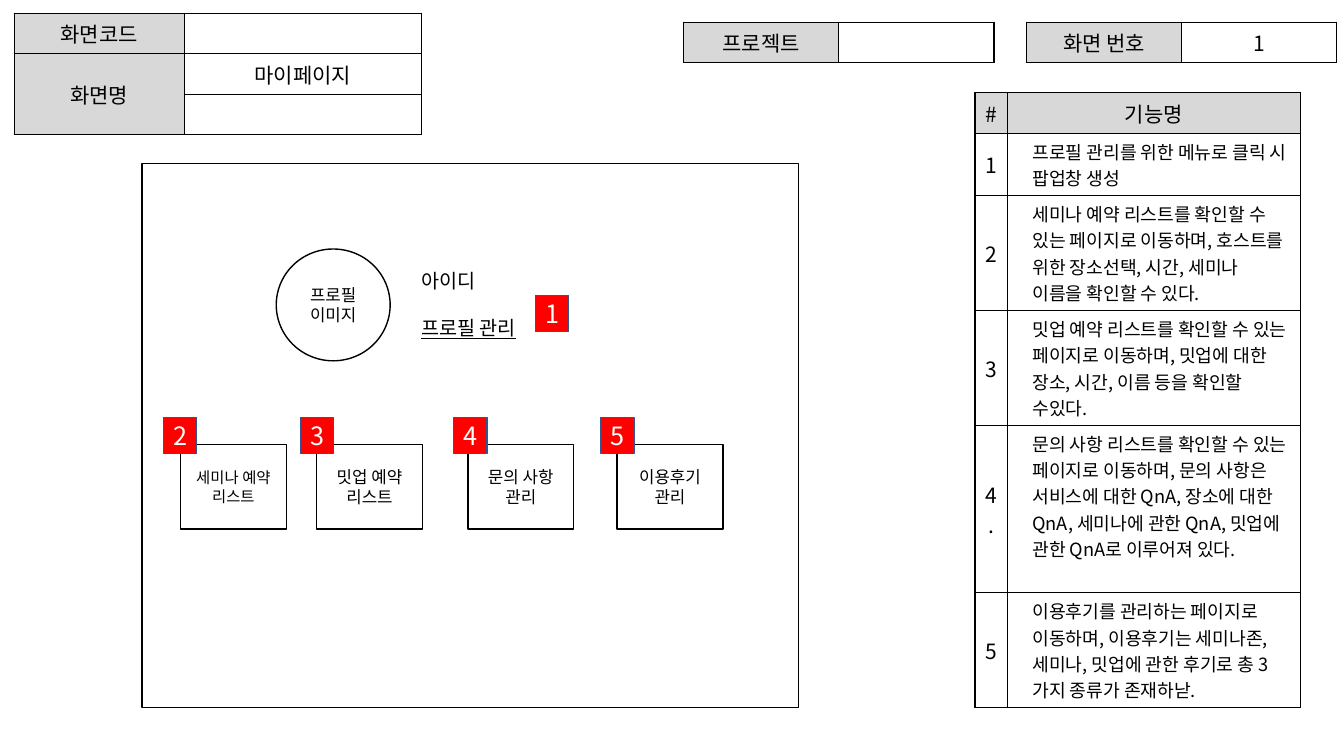
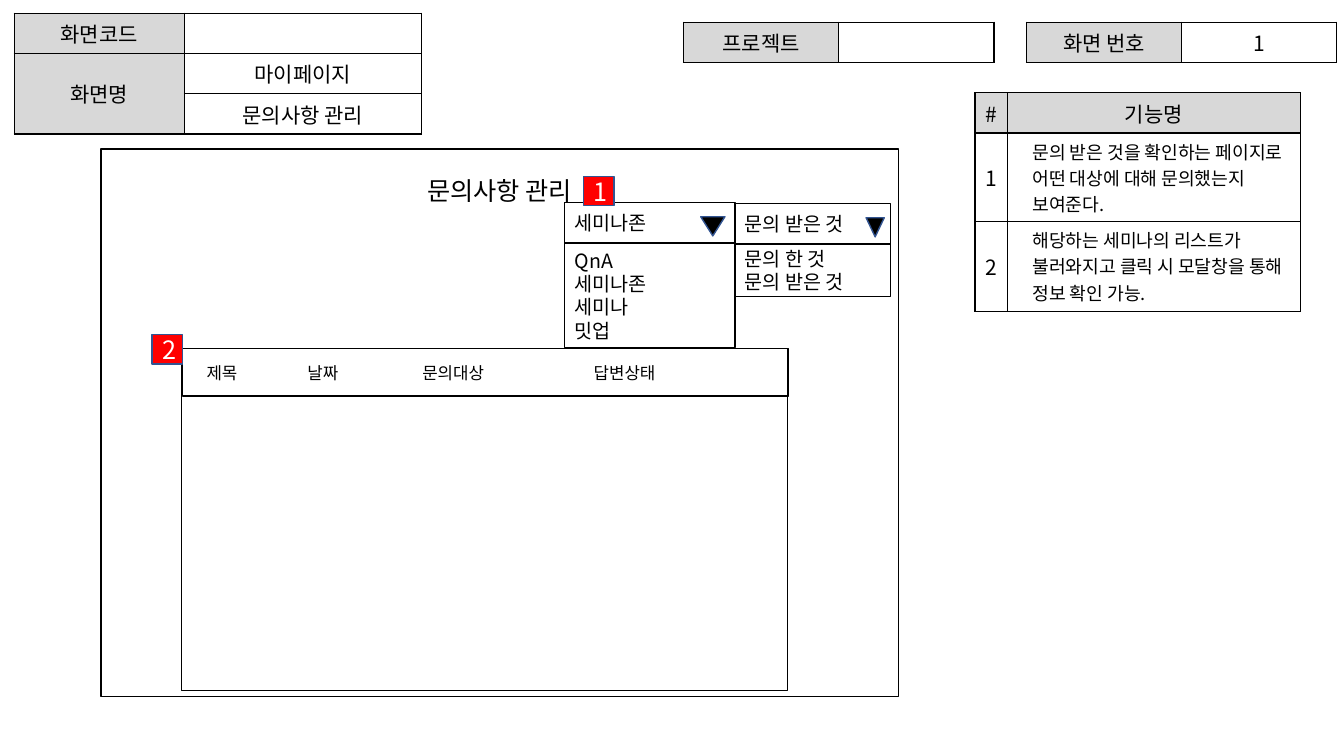
import dataclasses
import typing

import lxml.etree
import pptx
import pptx.dml.color
import pptx.enum.shapes
import pptx.enum.text
import pptx.oxml.ns
import pptx.util

Inches = pptx.util.Inches
Pt = pptx.util.Pt
Shape = pptx.enum.shapes.MSO_SHAPE
Align = pptx.enum.text.PP_ALIGN
Anchor = pptx.enum.text.MSO_ANCHOR
qn = pptx.oxml.ns.qn

FONT = "Noto Sans CJK KR"
HEX = {"ink": "000000", "paper": "FFFFFF", "head": "D8D8D8", "badge": "FF0000", "edge": "325491"}
ROW = 0.4


@dataclasses.dataclass
class Box:
    x: float
    y: float
    w: float
    h: float
    text: str = ""
    size: float = 12
    align: typing.Any = Align.CENTER
    kind: typing.Any = Shape.RECTANGLE


@dataclasses.dataclass
class Note:
    mark: str
    text: str
    high: float


def color(name: str) -> pptx.dml.color.RGBColor:
    return pptx.dml.color.RGBColor.from_string(HEX[name])


# Text
def put(frame, text: str, *, size: float = 15, ink: str = "ink", align=Align.CENTER,
        pitch: float = 0, gap: float = 0, under: int = -1, tabs: typing.Sequence[float] = ()) -> None:
    """Write one paragraph per line; pitch is line height in ems, under the underlined line."""
    frame.word_wrap = True
    for num, line in enumerate(text.split("\n")):
        para = frame.add_paragraph() if num else frame.paragraphs[0]
        if tabs:
            stops = lxml.etree.SubElement(para._p.get_or_add_pPr(), qn("a:tabLst"))
            for stop in tabs:
                lxml.etree.SubElement(stops, qn("a:tab"), pos=str(Inches(stop)), algn="l")
        para.alignment = align
        if pitch:
            para.line_spacing = Pt(size * pitch)
        if num and gap:
            para.space_before = Pt(gap)
        if not line:
            lxml.etree.SubElement(para._p, qn("a:endParaRPr"), sz=str(int(size * 100)))
            continue
        run = para.add_run()
        run.text = line
        font = run.font
        font.size, font.name = Pt(size), FONT
        font.color.rgb = color(ink)
        if num == under:
            font.underline = True
        lxml.etree.SubElement(run._r.get_or_add_rPr(), qn("a:ea"), typeface=FONT)


# Shapes
def draw(slide, box: Box, *, fill: str = "", line: str = "ink", ink: str = "ink",
         tabs: typing.Sequence[float] = ()):
    shape = slide.shapes.add_shape(box.kind, *map(Inches, (box.x, box.y, box.w, box.h)))
    shape.shadow.inherit = False
    if fill:
        shape.fill.solid()
        shape.fill.fore_color.rgb = color(fill)
    else:
        shape.fill.background()
    shape.line.color.rgb = color(line)
    shape.line.width = Pt(1)
    if box.text:
        shape.text_frame.vertical_anchor = Anchor.MIDDLE
        put(shape.text_frame, box.text, size=box.size, ink=ink, align=box.align, pitch=1.19, tabs=tabs)
    return shape


def badge(slide, x: float, y: float, text: str, wide: float = 0.33, high: float = 0.36) -> None:
    draw(slide, Box(x, y, wide, high, text, 18), fill="badge", line="edge", ink="paper")


def label(slide, box: Box, *, gap: float = 0, under: int = -1) -> None:
    shape = slide.shapes.add_textbox(*map(Inches, (box.x, box.y, box.w, box.h)))
    put(shape.text_frame, box.text, size=box.size, align=box.align, pitch=1.19, gap=gap, under=under)


def picker(slide, x: float, y: float, wide: float, text: str, items: str, high: float,
           arrow: tuple[float, float]) -> None:
    """Draw a drop-down: closed field, arrow and open list."""
    left, size = arrow
    draw(slide, Box(x, y, wide, 0.4, text, 14, Align.LEFT))
    mark = Box(left, y + 0.14, size, 0.19, kind=Shape.FLOWCHART_MERGE)
    draw(slide, mark, fill="ink", line="edge")
    draw(slide, Box(x, y + 0.4, wide, high, items, 14, Align.LEFT))


# Tables
def paint(cell, fill: str) -> None:
    cell.fill.solid()
    cell.fill.fore_color.rgb = color(fill)
    props = cell._tc.get_or_add_tcPr()
    for num, side in enumerate(("lnL", "lnR", "lnT", "lnB")):
        edge = lxml.etree.Element(qn(f"a:{side}"), w=str(Pt(1)))
        solid = lxml.etree.SubElement(edge, qn("a:solidFill"))
        lxml.etree.SubElement(solid, qn("a:srgbClr"), val=HEX["ink"])
        props.insert(num, edge)


def grid(slide, x: float, y: float, cols: list[float], rows: list[float],
         cells: list[list[str]], heads: set[tuple[int, int]], notes: bool = False):
    frame = slide.shapes.add_table(len(rows), len(cols), *map(Inches, (x, y, sum(cols), sum(rows))))
    table = frame.table
    table.first_row = table.horz_banding = False
    for col, wide in zip(table.columns, cols):
        col.width = Inches(wide)
    for r, high in enumerate(rows):
        table.rows[r].height = Inches(high)
        for c, text in enumerate(cells[r]):
            cell = table.cell(r, c)
            paint(cell, "head" if (r, c) in heads else "paper")
            if notes and r and c:
                put(cell.text_frame, text, size=13, align=Align.LEFT)
                cell.text_frame.paragraphs[0]._p.get_or_add_pPr().set("marL", str(Inches(0.15)))
            else:
                cell.vertical_anchor = Anchor.MIDDLE
                put(cell.text_frame, text)
    return table


# Shared page frame
def page(deck, name: str, notes: list[Note]):
    slide = deck.slides.add_slide(deck.slide_layouts[6])
    cells = [["화면코드", ""], ["화면명", "마이페이지"], ["", name]]
    table = grid(slide, 0.14, 0.13, [1.69, 2.35], [ROW] * 3, cells, {(0, 0), (1, 0), (2, 0)})
    table.cell(1, 0).merge(table.cell(2, 0))
    for x, head, value in ((10.18, "화면 번호", "1"), (6.78, "프로젝트", "")):
        grid(slide, x, 0.22, [1.54] * 2, [ROW], [[head, value]], {(0, 0)})
    grid(slide, 9.67, 0.92, [0.32, 2.91], [ROW] + [note.high for note in notes],
         [["#", "기능명"]] + [[note.mark, note.text] for note in notes], {(0, 0), (0, 1)}, notes=True)
    return slide


# My page
def home(deck) -> None:
    slide = page(deck, "", [
        Note("1", "프로필 관리를 위한 메뉴로 클릭 시 팝업창 생성", 0.62),
        Note("2", "세미나 예약 리스트를 확인할 수 있는 페이지로 이동하며, 호스트를 위한 장소선택, 시간, "
                  "세미나 이름을 확인할 수 있다.", 1.14),
        Note("3", "밋업 예약 리스트를 확인할 수 있는 페이지로 이동하며, 밋업에 대한 장소, 시간, 이름 등을 "
                  "확인할 수있다.", 1.14),
        Note("4.", "문의 사항 리스트를 확인할 수 있는 페이지로 이동하며, 문의 사항은 서비스에 대한 QnA, "
                   "장소에 대한 QnA, 세미나에 관한 QnA, 밋업에 관한 QnA로 이루어져 있다.", 1.66),
        Note("5", "이용후기를 관리하는 페이지로 이동하며, 이용후기는 세미나존, 세미나, 밋업에 관한 후기로 "
                  "총 3가지 종류가 존재하낟.", 1.14),
    ])
    draw(slide, Box(1.41, 1.62, 6.51, 5.4))
    draw(slide, Box(2.74, 2.47, 1.13, 1.11, "프로필이미지", kind=Shape.OVAL))
    label(slide, Box(4.08, 2.62, 2.56, 0.81, "아이디\n프로필 관리", 14, Align.LEFT), gap=16.7, under=1)
    badge(slide, 5.31, 2.93, "1")
    menus = [
        (1.79, 1.62, "세미나 예약 리스트", 11),
        (3.14, 2.98, "밋업 예약\n리스트", 12),
        (4.64, 4.5, "문의 사항\n관리", 12),
        (6.12, 5.96, "이용후기 관리", 12),
    ]
    for num, (x, left, text, size) in enumerate(menus, 2):
        draw(slide, Box(x, 4.41, 1.05, 0.84, text, size))
        badge(slide, left, 4.14, str(num))


# Inquiry page
def inbox(deck) -> None:
    slide = page(deck, "문의사항 관리", [
        Note("1", "문의 받은 것을 확인하는 페이지로 어떤 대상에 대해 문의했는지 보여준다.", 0.88),
        Note("2", "해당하는 세미나의 리스트가 불러와지고 클릭 시 모달창을 통해 정보 확인 가능.", 0.89),
    ])
    draw(slide, Box(1, 1.48, 7.91, 5.43))
    label(slide, Box(3.65, 1.69, 2.61, 0.4, "문의사항 관리", 18))
    picker(slide, 5.6, 2.01, 1.69, "세미나존", "QnA\n세미나존\n세미나\n밋업", 1.04, (6.95, 0.24))
    draw(slide, Box(1.8, 3.46, 6.01, 3.39))
    draw(slide, Box(1.81, 3.46, 6.01, 0.47, "\t제목\t날짜\t문의대상\t답변상태", 12, Align.LEFT),
         tabs=(0.14, 1.14, 2.28, 3.98))
    badge(slide, 5.79, 1.75, "1", 0.3, 0.29)
    badge(slide, 1.51, 3.32, "2", 0.3, 0.29)
    picker(slide, 7.29, 2.02, 1.54, "문의 받은 것", "문의 한 것\n문의 받은 것", 0.52, (8.59, 0.18))


def main() -> None:
    deck = pptx.Presentation()
    deck.slide_width, deck.slide_height = Inches(13.33), Inches(7.5)
    home(deck)
    inbox(deck)
    deck.save("out.pptx")


if __name__ == "__main__":
    main()
